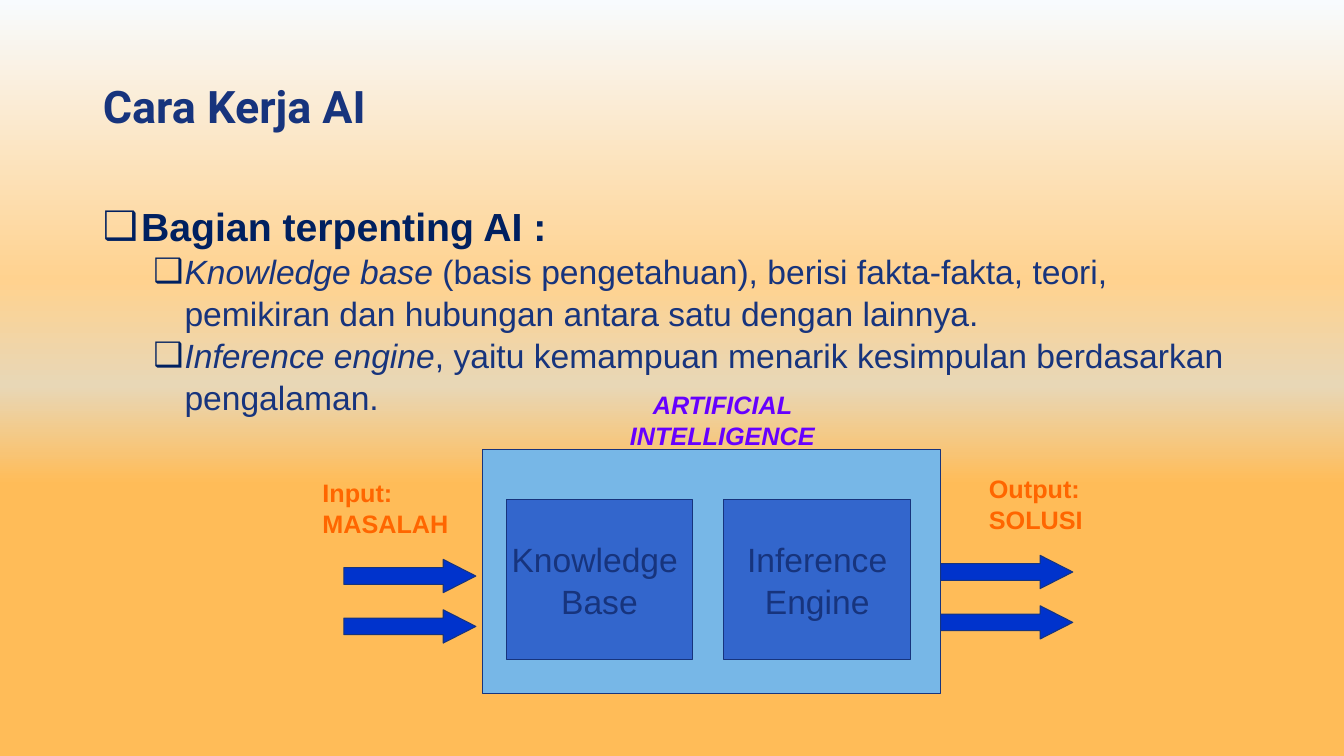
from lxml import etree
from pptx import Presentation
from pptx.dml.color import RGBColor
from pptx.enum.shapes import MSO_SHAPE
from pptx.enum.text import MSO_ANCHOR, MSO_AUTO_SIZE, PP_ALIGN
from pptx.oxml.ns import qn
from pptx.util import Inches, Pt

RECT, ARROW = MSO_SHAPE.RECTANGLE, MSO_SHAPE.RIGHT_ARROW
LEFT, CENTER = PP_ALIGN.LEFT, PP_ALIGN.CENTER
MIDDLE, TOP = MSO_ANCHOR.MIDDLE, MSO_ANCHOR.TOP
NO_FIT, GROW = MSO_AUTO_SIZE.NONE, MSO_AUTO_SIZE.SHAPE_TO_FIT_TEXT

NAVY = RGBColor(0x17, 0x34, 0x7D)
DARK = RGBColor(0x00, 0x20, 0x60)
SKY = RGBColor(0x77, 0xB7, 0xE7)
BLUE = RGBColor(0x33, 0x66, 0xCC)
ARROW_BLUE = RGBColor(0x00, 0x33, 0xCC)
ORANGE = RGBColor(0xFF, 0x66, 0x00)
VIOLET = RGBColor(0x66, 0x00, 0xFF)
BACKGROUND = [
    (0, RGBColor(0xF8, 0xFB, 0xFE)),
    (37, RGBColor(0xFF, 0xD2, 0x8F)),
    (51, RGBColor(0xE8, 0xD7, 0xB6)),
    (64, RGBColor(0xFF, 0xBC, 0x58)),
    (100, RGBColor(0xFF, 0xBC, 0x58)),
]


class SlideBuilder:
    font = "Arial"
    line_spacing = 1.04

    def __init__(self, prs):
        self.s = prs.slides.add_slide(prs.slide_layouts[1])

    def background(self, stops):
        fill = self.s.background.fill
        fill.gradient()
        grad = self.s.background._cSld.find(".//" + qn("a:gradFill"))
        gs_list = grad.find(qn("a:gsLst"))
        for gs in list(gs_list):
            gs_list.remove(gs)
        for position, color in stops:
            gs = etree.SubElement(gs_list, qn("a:gs"), pos=str(position * 1000))
            etree.SubElement(gs, qn("a:srgbClr"), val=str(color))
        fill.gradient_angle = 270

    def place(self, sp, x, y, w, h):
        sp.left, sp.top, sp.width, sp.height = map(Inches, (x, y, w, h))

    def style(self, r, size, color, bold=False, italic=False, font=None):
        r.font.name = font or self.font
        r.font.size = Pt(size)
        r.font.color.rgb = color
        r.font.bold, r.font.italic = bold, italic

    def lines(self, tf, text, size, color, align, **look):
        tf.text = text
        for p in tf.paragraphs:
            p.alignment = align
            p.line_spacing = self.line_spacing
            for r in p.runs:
                self.style(r, size, color, **look)

    def title(self, text, box):
        sp = self.s.shapes.title
        self.place(sp, *box)
        tf = sp.text_frame
        tf.vertical_anchor, tf.auto_size = MIDDLE, NO_FIT
        self.lines(tf, text, 32, NAVY, LEFT, bold=True, font="Roboto")

    def bullet(self, p, indent, hanging):
        pPr = p._p.get_or_add_pPr()
        pPr.set("marL", str(Inches(indent)))
        pPr.set("indent", str(-Inches(hanging)))
        clr = etree.SubElement(pPr, qn("a:buClr"))
        etree.SubElement(clr, qn("a:srgbClr"), val=str(DARK))
        etree.SubElement(pPr, qn("a:buFont"), typeface=self.font)
        etree.SubElement(pPr, qn("a:buChar"), char="❑")

    def body(self, heading, items, box):
        sp = self.s.placeholders[1]
        self.place(sp, *box)
        tf = sp.text_frame
        tf.vertical_anchor, tf.auto_size = TOP, NO_FIT
        tf.text = heading
        p = tf.paragraphs[0]
        self.bullet(p, 0.38, 0.38)
        self.style(p.runs[0], 28, DARK, bold=True)
        for term, meaning in items:
            p = tf.add_paragraph()
            p.level = 1
            self.bullet(p, 0.81, 0.31)
            for text, italic in ((term, True), (meaning, False)):
                r = p.add_run()
                r.text = text
                self.style(r, 24, NAVY, italic=italic)
        for p in tf.paragraphs:
            p.space_before = Pt(0)
            p.line_spacing = self.line_spacing

    def shape(self, kind, box, fill, text=None):
        sp = self.s.shapes.add_shape(kind, *map(Inches, box))
        sp.shadow.inherit = False
        sp.fill.solid()
        sp.fill.fore_color.rgb = fill
        sp.line.color.rgb = NAVY
        sp.line.width = Pt(0.75)
        if text:
            tf = sp.text_frame
            tf.word_wrap = False
            tf.vertical_anchor = MIDDLE
            self.lines(tf, text, 24, NAVY, CENTER)
        return sp

    def arrow(self, x, y):
        sp = self.shape(ARROW, (x, y, 1.31, 0.33), ARROW_BLUE)
        sp.adjustments[0], sp.adjustments[1] = 0.5, 0.98

    def label(self, text, box, color, align=LEFT, italic=False):
        tf = self.s.shapes.add_textbox(*map(Inches, box)).text_frame
        tf.word_wrap, tf.auto_size = True, GROW
        self.lines(tf, text, 18, color, align, bold=True, italic=italic)


def main():
    prs = Presentation()
    prs.slide_width, prs.slide_height = Inches(13.33), Inches(7.5)
    slide = SlideBuilder(prs)
    slide.background(BACKGROUND)

    # Title and list
    slide.title("Cara Kerja AI", (0.92, 0.52, 11.75, 1.03))
    slide.body("Bagian terpenting AI :", [
        ("Knowledge base", " (basis pengetahuan), berisi fakta-fakta, teori, "
         "pemikiran dan hubungan antara satu dengan lainnya."),
        ("Inference engine", ", yaitu kemampuan menarik kesimpulan "
         "berdasarkan pengalaman."),
    ], (0.92, 1.94, 11.42, 5.27))

    # AI system with its two parts
    slide.shape(RECT, (4.79, 4.46, 4.54, 2.42), SKY)
    for x, text in ((5.02, "Knowledge \nBase"), (7.18, "Inference\nEngine")):
        slide.shape(RECT, (x, 4.96, 1.85, 1.58), BLUE, text)
    slide.label("ARTIFICIAL INTELLIGENCE", (5.55, 3.8, 3.23, 0.7), VIOLET,
                CENTER, italic=True)

    # Input and output: a label over a pair of arrows
    for text, box, x, y in (
        ("Input:\nMASALAH", (3.1, 4.67, 1.63, 0.7), 3.41, 5.55),
        ("Output:\nSOLUSI", (9.71, 4.63, 1.15, 0.7), 9.33, 5.51),
    ):
        slide.label(text, box, ORANGE)
        for row in range(2):
            slide.arrow(x, y + 0.5 * row)

    prs.save("out.pptx")


if __name__ == "__main__":
    main()
